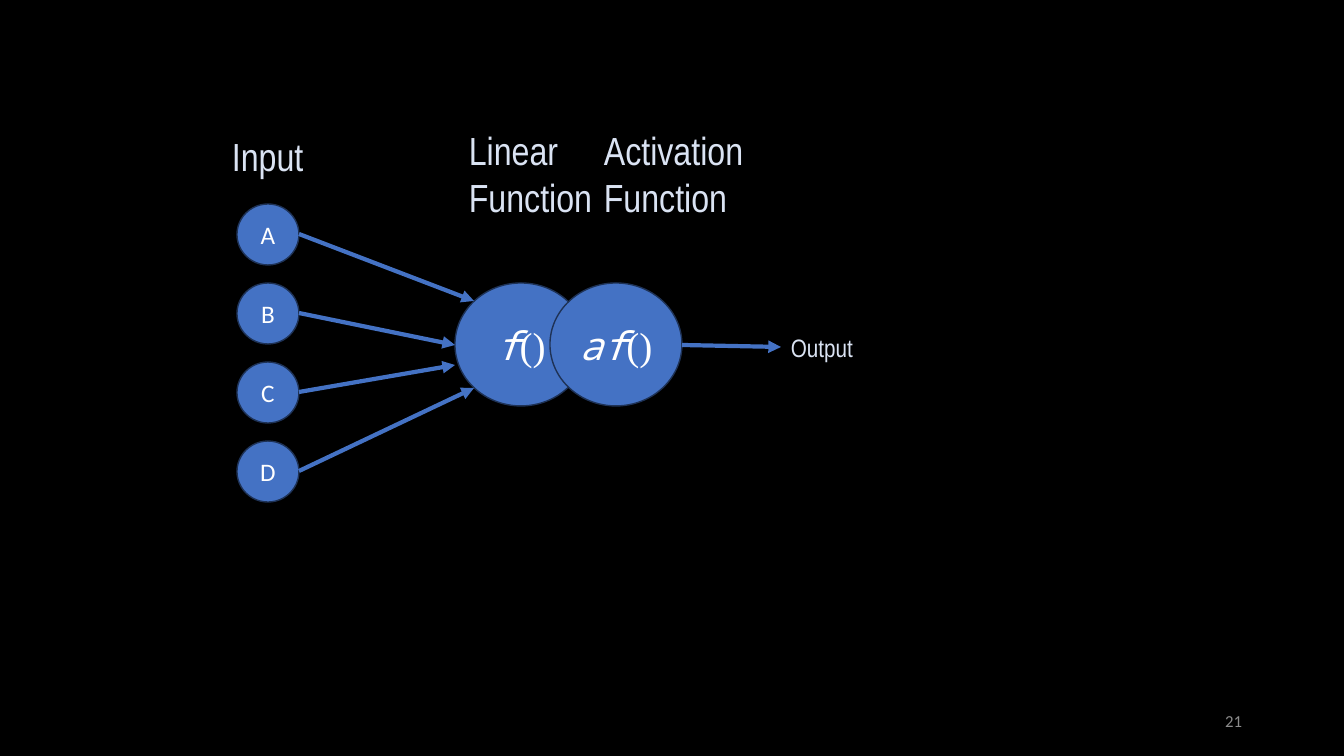
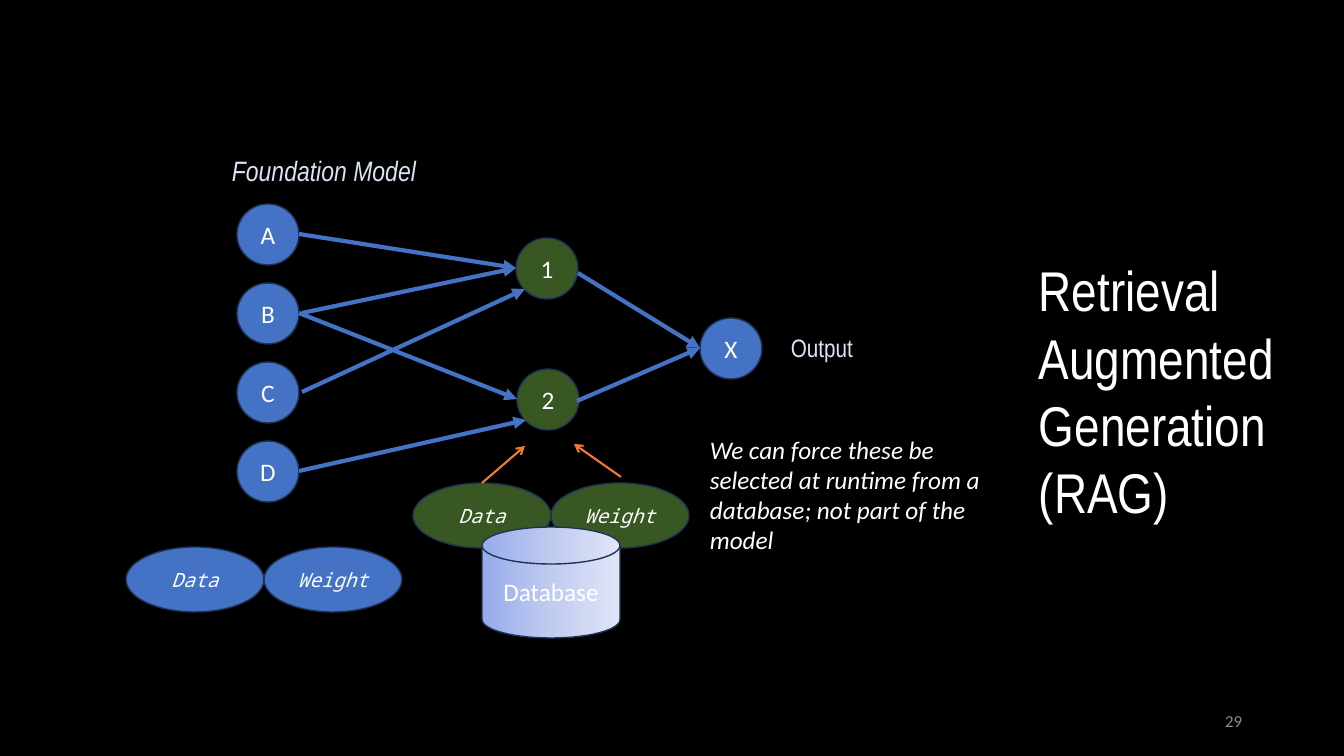
from copy import deepcopy

from lxml import etree
from pptx import Presentation
from pptx.dml.color import RGBColor
from pptx.enum.shapes import MSO_CONNECTOR as CONNECTOR, MSO_SHAPE as SHAPE
from pptx.enum.text import MSO_ANCHOR as ANCHOR, PP_ALIGN as ALIGN
from pptx.oxml.ns import qn
from pptx.util import Emu, Pt

EMU_PER_PX = 12192000 / 1344
SLIDE_SIZE = (1344, 756)

BLACK = RGBColor(0x00, 0x00, 0x00)
WHITE = RGBColor(0xFF, 0xFF, 0xFF)
BLUE = RGBColor(0x44, 0x72, 0xC4)
GREEN = RGBColor(0x38, 0x57, 0x23)
ORANGE = RGBColor(0xED, 0x7D, 0x31)
OUTLINE = RGBColor(0x1E, 0x32, 0x56)
PALE_BLUE = RGBColor(0xDA, 0xE3, 0xF3)
GRAY = RGBColor(0x8C, 0x8C, 0x8C)
DISK_COLORS = [
    RGBColor(0x96, 0xAB, 0xEA),
    RGBColor(0xC0, 0xCB, 0xF0),
    RGBColor(0xE0, 0xE5, 0xF7),
]

BODY_FONT = "Calibri"
LABEL_FONT = "Arial Narrow"
CODE_FONT = "Noto Sans Mono"
BRACKET_FONT = "Times New Roman"

NODE_WIDTH, NODE_HEIGHT = 62, 61
INPUT_LEFT, INPUT_TOP, INPUT_STEP = 237, 204, 79
INPUT_RIGHT = INPUT_LEFT + NODE_WIDTH


def px(*lengths):
    """Turn pixel lengths into EMU."""
    return [Emu(round(length * EMU_PER_PX)) for length in lengths]


def input_middle(row):
    """Return the vertical middle of an input node."""
    return INPUT_TOP + INPUT_STEP * row + NODE_HEIGHT // 2


def style_font(font, size, color, name=BODY_FONT, italic=False):
    """Set the look of a paragraph or run font."""
    font.name = name
    font.size = Pt(size)
    font.italic = italic
    font.color.rgb = color


def add_label(slide, text, box, size, color=PALE_BLUE, name=LABEL_FONT,
              italic=False, align=ALIGN.LEFT, anchor=ANCHOR.TOP):
    """Add a wrapped text box."""
    frame = slide.shapes.add_textbox(*px(*box)).text_frame
    frame.word_wrap = True
    frame.vertical_anchor = anchor
    paragraph = frame.paragraphs[0]
    paragraph.text = text
    paragraph.alignment = align
    style_font(paragraph.font, size, color, name, italic)


def add_outlined(slide, kind, box, fill=BLUE):
    """Add an outlined shape and return it with its centred paragraph."""
    shape = slide.shapes.add_shape(kind, *px(*box))
    shape.shadow.inherit = False
    shape.fill.solid()
    shape.fill.fore_color.rgb = fill
    shape.line.color.rgb = OUTLINE
    shape.line.width = Pt(1)
    shape.text_frame.vertical_anchor = ANCHOR.MIDDLE
    paragraph = shape.text_frame.paragraphs[0]
    paragraph.alignment = ALIGN.CENTER
    return shape, paragraph


def add_node(slide, text, left, top, fill=BLUE):
    """Add a round network node."""
    box = (left, top, NODE_WIDTH, NODE_HEIGHT)
    _, paragraph = add_outlined(slide, SHAPE.OVAL, box, fill)
    paragraph.text = text
    style_font(paragraph.font, 18, WHITE)


def add_inputs(slide):
    """Add the column of input nodes."""
    for row, letter in enumerate("ABCD"):
        add_node(slide, letter, INPUT_LEFT, INPUT_TOP + INPUT_STEP * row)


def add_function(slide, name, left):
    """Add a large ellipse with a function name and brackets."""
    _, paragraph = add_outlined(slide, SHAPE.OVAL, (left, 283, 132, 123))
    for text, font_name, italic in ((name, CODE_FONT, True),
                                    ("()", BRACKET_FONT, False)):
        run = paragraph.add_run()
        run.text = text
        style_font(run.font, 28, WHITE, font_name, italic)


def add_data_weight(slide, left, top, fill):
    """Add touching Data and Weight ellipses."""
    width = 138
    for column, text in enumerate(("Data", "Weight")):
        box = (left + width * column, top, width, 65)
        _, paragraph = add_outlined(slide, SHAPE.OVAL, box, fill)
        paragraph.text = text
        style_font(paragraph.font, 14, WHITE, CODE_FONT, True)


def add_database(slide):
    """Add the database disk with its three-stop gradient."""
    disk, paragraph = add_outlined(
        slide, SHAPE.FLOWCHART_MAGNETIC_DISK, (482, 527, 138, 111))
    disk.fill.gradient()
    disk.fill.gradient_angle = 0
    first = next(disk.element.iter(qn("a:gs")))
    first.addnext(deepcopy(first))
    for stop, position, color in zip(disk.fill.gradient_stops, (0, 0.5, 1), DISK_COLORS):
        stop.position = position
        stop.color.rgb = color
    paragraph.text = "Database"
    style_font(paragraph.font, 18, WHITE)


def add_arrow(slide, start, end, color=BLUE, width=3, head="triangle"):
    """Add a straight arrow between two points."""
    arrow = slide.shapes.add_connector(CONNECTOR.STRAIGHT, *px(*start, *end))
    arrow.line.color.rgb = color
    arrow.line.width = Pt(width)
    line = arrow.line._get_or_add_ln()
    etree.SubElement(line, qn("a:tailEnd"), type=head)
    etree.SubElement(arrow.element.spPr, qn("a:effectLst"))


def add_shared(slide, number):
    """Add the output label and the slide number."""
    add_label(slide, "Output", (781, 327, 182, 40), 18)
    add_label(slide, number, (950, 701, 302, 40), 12, GRAY, BODY_FONT,
              align=ALIGN.RIGHT, anchor=ANCHOR.MIDDLE)


def build_neuron(slide):
    """Build the slide with one neuron and its two functions."""
    add_inputs(slide)
    add_function(slide, "f", 455)
    add_function(slide, "af", 550)
    for row, end in enumerate([(474, 301), (455, 345), (455, 365), (474, 388)]):
        add_arrow(slide, (INPUT_RIGHT, input_middle(row)), end)
    add_arrow(slide, (682, 345), (781, 347))
    add_label(slide, "Input", (222, 127, 224, 57), 28)
    add_label(slide, "Linear Function", (459, 121, 224, 105), 28)
    add_label(slide, "Activation Function", (594, 121, 224, 105), 28)
    add_shared(slide, "21")


def build_retrieval(slide):
    """Build the slide on retrieval augmented generation."""
    add_inputs(slide)
    add_node(slide, "1", 516, 238, GREEN)
    add_node(slide, "2", 517, 369, GREEN)
    add_node(slide, "X", 700, 318)
    for row, gap, end in [(0, 0, (516, 268)), (1, 3, (516, 268)), (2, 3, (525, 289)),
                          (3, 0, (526, 420)), (1, 0, (517, 399))]:
        add_arrow(slide, (INPUT_RIGHT + gap, input_middle(row)), end)
    for start in ((578, 273), (577, 401)):
        add_arrow(slide, start, (700, 348))

    add_data_weight(slide, 413, 483, GREEN)
    add_data_weight(slide, 126, 547, BLUE)
    add_database(slide)
    for start, end in (((482, 483), (525, 446)), ((621, 477), (574, 444))):
        add_arrow(slide, start, end, ORANGE, 1.5, "arrow")

    add_label(slide, "Foundation Model", (222, 149, 224, 44), 20, italic=True)
    add_label(slide, "We can force these be selected at runtime from a database; "
              "not part of the model", (700, 429, 310, 132), 18, WHITE, BODY_FONT, True)
    add_label(slide, "Retrieval Augmented Generation (RAG)",
              (1029, 251, 310, 281), 40, WHITE)
    add_shared(slide, "29")


def main():
    """Build and save the presentation."""
    presentation = Presentation()
    presentation.slide_width, presentation.slide_height = px(*SLIDE_SIZE)
    background = presentation.slide_master.background.fill
    background.solid()
    background.fore_color.rgb = BLACK
    for build in (build_neuron, build_retrieval):
        build(presentation.slides.add_slide(presentation.slide_layouts[6]))
    presentation.save("out.pptx")


if __name__ == "__main__":
    main()
